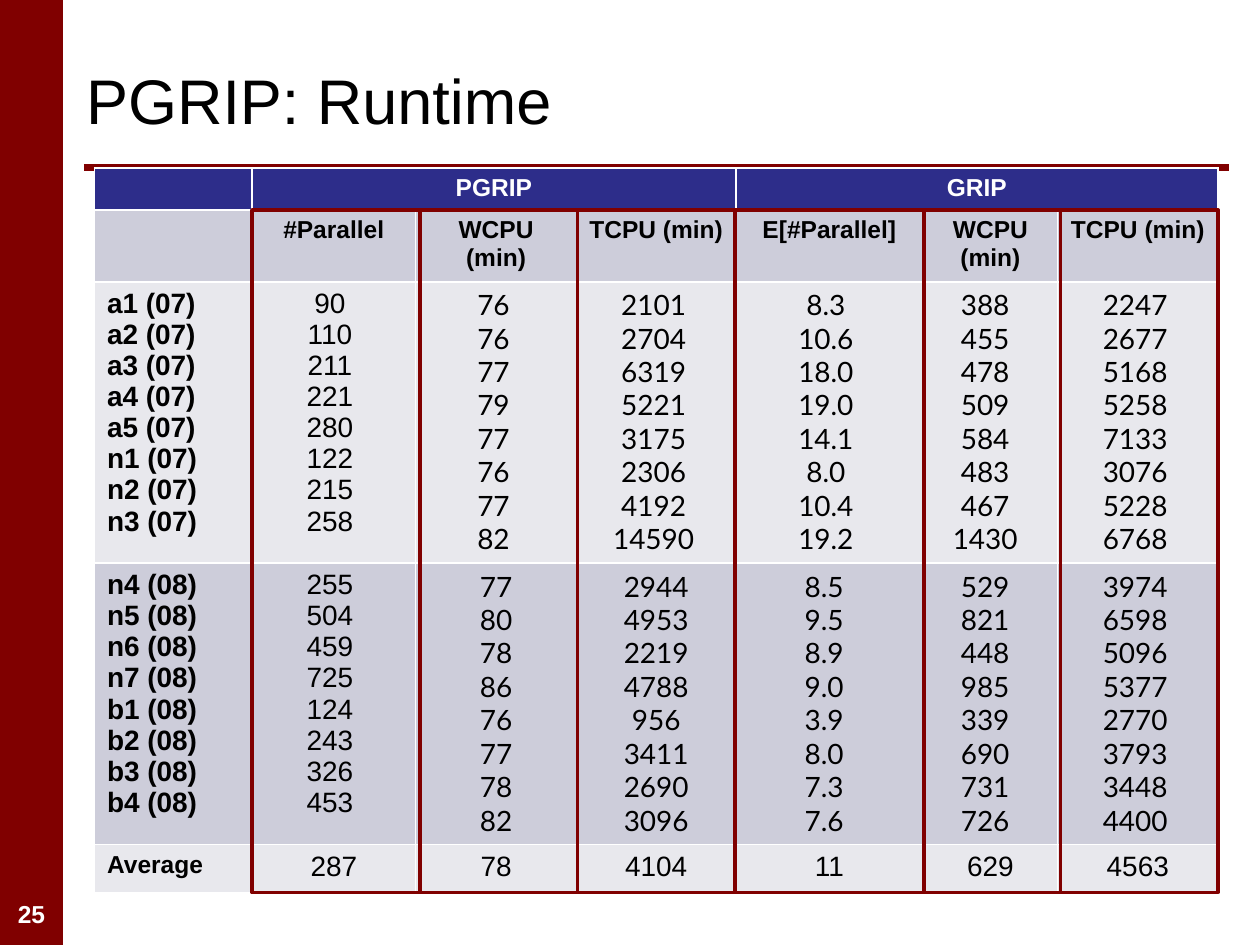
from dataclasses import dataclass
from itertools import accumulate

from lxml import etree
from pptx import Presentation
from pptx.dml.color import RGBColor
from pptx.enum import shapes, text
from pptx.oxml.ns import qn
from pptx.util import Pt

COLORS = {"maroon": "800000", "navy": "2D2D8A", "gray": "CDCDDA",
          "pale": "E8E8ED", "white": "FFFFFF", "black": "000000"}
COLUMN_WIDTHS = [90, 93.5, 92, 91, 107, 77, 91.5]
ROW_HEIGHTS = [24, 41, 160.8, 160.8, 27.4]
FRAME_WIDTHS = [96, 90, 90, 108, 78, 90]
FRAME_LEFT, FRAME_TOP, FRAME_HEIGHT = 144, 120, 390


@dataclass(frozen=True)
class Style:
    size: float = 16
    font: str = "Arial"
    bold: bool = False
    color: str = "black"
    centered: bool = True


@dataclass(frozen=True)
class Block:
    """One column of values inside a benchmark year; nudge moves it left."""
    values: str
    nudge: float = 0
    font: str = "Lato"


GROUP = Style(size=14, bold=True, color="white")
HEADING = Style(size=14, bold=True)
INSTANCE = Style(bold=True, centered=False)
AVERAGE_LABEL = Style(size=14, bold=True, centered=False)

HEADINGS = ["", "#Parallel", "WCPU (min)", "TCPU (min)",
            "E[#Parallel]", "WCPU (min)", "TCPU (min)"]
AVERAGES = ["Average", "287", "78", "4104", "11", "629", "4563"]
YEARS = [
    ("07", "a1 a2 a3 a4 a5 n1 n2 n3", "pale", [
        Block("90 110 211 221 280 122 215 258", 4.4, "Arial"),
        Block("76 76 77 79 77 76 77 82", 3),
        Block("2101 2704 6319 5221 3175 2306 4192 14590", 3),
        Block("8.3 10.6 18.0 19.0 14.1 8.0 10.4 19.2", 4),
        Block("388 455 478 509 584 483 467 1430", 6),
        Block("2247 2677 5168 5258 7133 3076 5228 6768", 3)]),
    ("08", "n4 n5 n6 n7 b1 b2 b3 b4", "gray", [
        Block("255 504 459 725 124 243 326 453", 4.4, "Arial"),
        Block("77 80 78 86 76 77 78 82"),
        Block("2944 4953 2219 4788 956 3411 2690 3096"),
        Block("8.5 9.5 8.9 9.0 3.9 8.0 7.3 7.6", 6),
        Block("529 821 448 985 339 690 731 726", 6),
        Block("3974 6598 5096 5377 2770 3793 3448 4400", 3)]),
]


def rgb(name: str) -> RGBColor:
    return RGBColor.from_string(COLORS[name])


def write(frame, lines: list[str], style: Style) -> None:
    for index, line in enumerate(lines):
        paragraph = frame.paragraphs[0] if index == 0 else frame.add_paragraph()
        paragraph.text = line
        paragraph.alignment = (text.PP_ALIGN.CENTER if style.centered
                               else text.PP_ALIGN.LEFT)
        font = paragraph.font
        font.size, font.name, font.bold = Pt(style.size), style.font, style.bold
        font.color.rgb = rgb(style.color)


def fill_cell(cell, lines: list[str], style: Style, fill: str,
              nudge: float = 0) -> None:
    cell.fill.solid()
    cell.fill.fore_color.rgb = rgb(fill)
    cell.margin_right = Pt(7.2 + nudge)
    write(cell.text_frame, lines, style)


def add_frame(slide, left: float, width: float) -> None:
    frame = slide.shapes.add_shape(
        shapes.MSO_SHAPE.RECTANGLE, Pt(left), Pt(FRAME_TOP), Pt(width), Pt(FRAME_HEIGHT))
    frame.shadow.inherit = False
    frame.fill.background()
    frame.line.color.rgb = rgb("maroon")
    frame.line.width = Pt(2)


def add_results(slide) -> None:
    table = slide.shapes.add_table(
        len(ROW_HEIGHTS), len(COLUMN_WIDTHS), Pt(54), Pt(96),
        Pt(sum(COLUMN_WIDTHS)), Pt(sum(ROW_HEIGHTS))).table
    for column, width in zip(table.columns, COLUMN_WIDTHS):
        column.width = Pt(width)
    for row, height in zip(table.rows, ROW_HEIGHTS):
        row.height = Pt(height)

    # Group and column headings
    groups = ["", "PGRIP", "", "", "GRIP", "", ""]
    for col, (group, heading) in enumerate(zip(groups, HEADINGS)):
        fill_cell(table.cell(0, col), [group], GROUP, "navy")
        fill_cell(table.cell(1, col), [heading], HEADING, "gray")
    for first in (1, 4):
        table.cell(0, first).merge(table.cell(0, first + 2))

    # Runtimes for each benchmark year
    for row, (year, instances, fill, blocks) in enumerate(YEARS, start=2):
        labels = [f"{name} ({year})" for name in instances.split()]
        fill_cell(table.cell(row, 0), labels, INSTANCE, fill)
        for col, block in enumerate(blocks, start=1):
            fill_cell(table.cell(row, col), block.values.split(),
                      Style(font=block.font), fill, block.nudge)

    # Averages
    for col, average in enumerate(AVERAGES):
        style = Style() if col else AVERAGE_LABEL
        fill_cell(table.cell(4, col), [average], style, "pale")


def main() -> None:
    deck = Presentation()
    deck.slide_width, deck.slide_height = Pt(720), Pt(540)
    slide = deck.slides.add_slide(deck.slide_layouts[5])

    # Side bar, rule and page number
    side_bar = slide.shapes.add_shape(
        shapes.MSO_SHAPE.RECTANGLE, Pt(0), Pt(0), Pt(36), Pt(540))
    side_bar.shadow.inherit = False
    side_bar.fill.solid()
    side_bar.fill.fore_color.rgb = rgb("maroon")
    side_bar.line.fill.background()

    rule = slide.shapes.add_connector(
        shapes.MSO_CONNECTOR.STRAIGHT, Pt(48), Pt(96), Pt(702), Pt(96))
    rule.line.color.rgb = rgb("maroon")
    rule.line.width = Pt(4)
    etree.SubElement(rule._element.spPr, qn("a:effectLst"))

    page_number = slide.shapes.add_textbox(Pt(0), Pt(510), Pt(36), Pt(24)).text_frame
    page_number.word_wrap = True
    write(page_number, ["25"], GROUP)

    # Title
    title = slide.shapes.title
    title.left, title.top, title.width, title.height = Pt(42), Pt(18), Pt(660), Pt(78)
    title.text_frame.vertical_anchor = text.MSO_ANCHOR.MIDDLE
    write(title.text_frame, ["PGRIP: Runtime"], Style(size=36, centered=False))

    # Results table with a frame around each measured column
    add_results(slide)
    for left, width in zip(accumulate(FRAME_WIDTHS, initial=FRAME_LEFT), FRAME_WIDTHS):
        add_frame(slide, left, width)

    deck.save("out.pptx")


if __name__ == "__main__":
    main()
